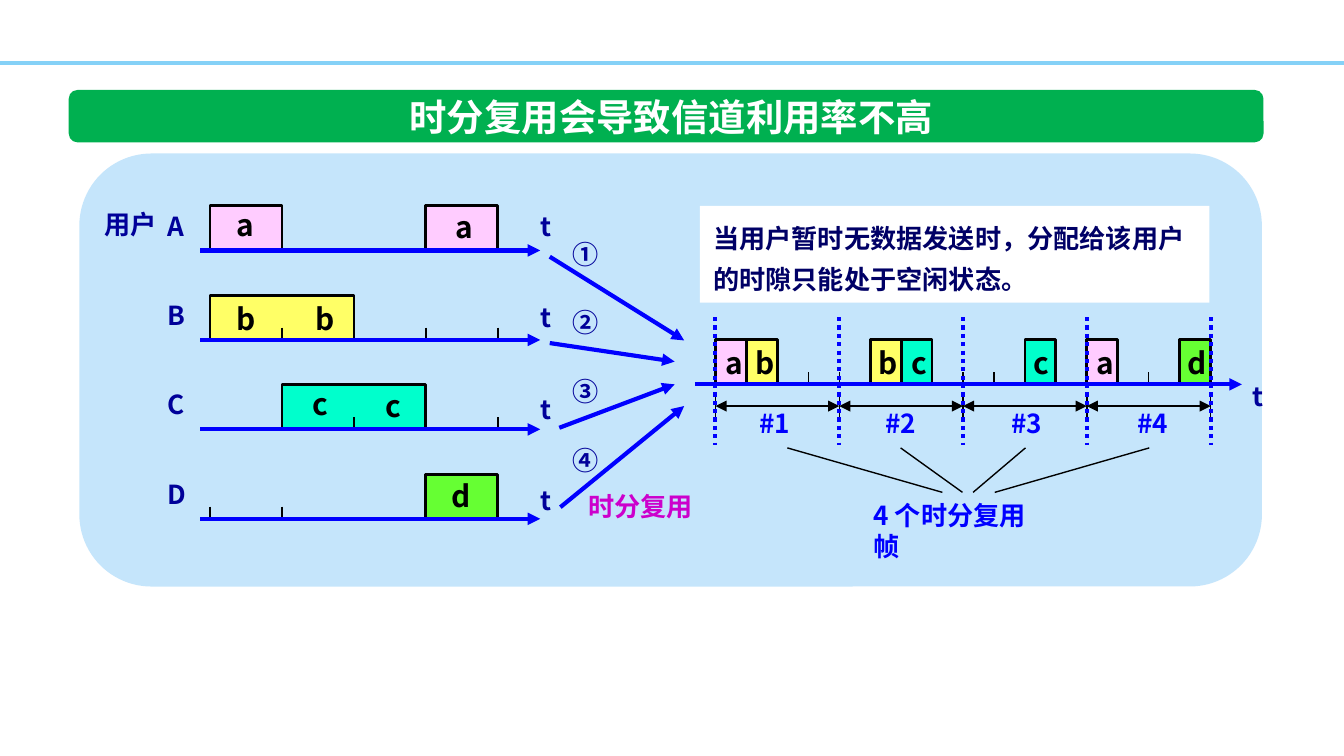
import pptx
import pptx.dml.color
import pptx.enum.dml
import pptx.enum.shapes
import pptx.enum.text
import pptx.oxml.ns
import pptx.util
from lxml import etree
from pptx.util import Cm

FONT = "Noto Sans CJK SC"
NAVY, BLUE, BLACK, WHITE = "000099", "0000FF", "000000", "FFFFFF"
USER_COLOURS = {"a": "FFCCFF", "b": "FFFF66", "c": "00FFCC", "d": "66FF33"}
LETTER_WIDTHS = {"a": 0.84, "b": 0.89, "c": 0.81, "d": 0.89}
USER_LEFT, USER_SLOT, USER_BASE, ROW_STEP = 3.97, 1.36, 4.73, 1.69
FRAME_LEFT, FRAME_WIDTH, CHANNEL_BASE = 13.52, 2.34, 7.26
CHANNEL_SLOT = FRAME_WIDTH / 4
BAR_HEIGHT, TICK_HEIGHT = 0.84, 0.23


def rgb(colour):
    """Turn a hex string into a colour."""
    return pptx.dml.color.RGBColor.from_string(colour)


def add_child(parent, tag, **attributes):
    """Append a DrawingML element."""
    etree.SubElement(parent, pptx.oxml.ns.qn(tag), **attributes)


def write(frame, text, size=14, colour=NAVY, wrap=False, align=None, spacing=None, anchor="TOP"):
    """Put formatted text into a text frame."""
    frame.word_wrap = wrap
    frame.vertical_anchor = getattr(pptx.enum.text.MSO_ANCHOR, anchor)
    paragraph = frame.paragraphs[0]
    paragraph.alignment = align or pptx.enum.text.PP_ALIGN.LEFT
    if spacing:
        paragraph.line_spacing = pptx.util.Pt(spacing)
    run = paragraph.add_run()
    run.text = text
    run.font.size = pptx.util.Pt(size)
    run.font.bold = True
    run.font.name = FONT
    run.font.color.rgb = rgb(colour)
    add_child(run._r.get_or_add_rPr(), "a:ea", typeface=FONT)


def add_label(slide, text, left, top, width, height=0.86, **style):
    """Add a free-standing label."""
    label = slide.shapes.add_textbox(Cm(left), Cm(top), Cm(width), Cm(height))
    write(label.text_frame, text, **style)


def add_panel(slide, left, top, width, height, colour, rounded=True):
    """Add a filled panel without outline."""
    kinds = pptx.enum.shapes.MSO_SHAPE
    kind = kinds.ROUNDED_RECTANGLE if rounded else kinds.RECTANGLE
    panel = slide.shapes.add_shape(kind, Cm(left), Cm(top), Cm(width), Cm(height))
    panel.shadow.inherit = False
    panel.fill.solid()
    panel.fill.fore_color.rgb = rgb(colour)
    panel.line.fill.background()
    return panel


def add_line(slide, x1, y1, x2, y2, colour=BLACK, width=0.75, dotted=False, ends=()):
    """Add a straight line with optional arrowheads."""
    kind = pptx.enum.shapes.MSO_CONNECTOR.STRAIGHT
    line = slide.shapes.add_connector(kind, Cm(x1), Cm(y1), Cm(x2), Cm(y2))
    line.line.color.rgb = rgb(colour)
    line.line.width = pptx.util.Pt(width)
    if dotted:
        line.line.dash_style = pptx.enum.dml.MSO_LINE.ROUND_DOT
    for end in ends:
        add_child(line.line._get_or_add_ln(), end, type="triangle")
    add_child(line._element.spPr, "a:effectLst")


def add_arrow(slide, x1, y1, x2, y2):
    """Add a thick blue arrow."""
    add_line(slide, x1, y1, x2, y2, colour=BLUE, width=2.25, ends=["a:tailEnd"])


def add_bar(slide, user, left, base, width):
    """Add a data bar that is open at its base."""
    right, top = left + width, base - BAR_HEIGHT
    outline = slide.shapes.build_freeform(Cm(left), Cm(base))
    corners = [(left, top), (right, top), (right, base)]
    outline.add_line_segments([(Cm(x), Cm(y)) for x, y in corners], close=False)
    bar = outline.convert_to_shape()
    bar.shadow.inherit = False
    bar.fill.solid()
    bar.fill.fore_color.rgb = rgb(USER_COLOURS[user])
    bar.line.color.rgb = rgb(BLACK)
    bar.line.width = pptx.util.Pt(1.5)


def add_ticks(slide, slots, left, step, base):
    """Mark slot borders above an axis."""
    for slot in slots:
        x = left + slot * step
        add_line(slide, x, base - TICK_HEIGHT, x, base)


def add_letters(slide, letters):
    """Add the letters on the data bars."""
    for letter, left, top in letters:
        add_label(slide, letter, left, top, LETTER_WIDTHS[letter], 0.94, size=16, colour=BLACK)


def add_heading(slide):
    """Add the top rule, the banner and the title."""
    add_line(slide, 0, 1.19, 25.4, 1.19, colour="85D1F7", width=2)
    add_panel(slide, 1.3, 1.7, 22.58, 0.99, "00B050")
    title = slide.shapes.title
    title.left, title.top, title.width, title.height = Cm(3.48), Cm(1.7), Cm(18.42), Cm(0.99)
    write(title.text_frame, "时分复用会导致信道利用率不高", size=20, colour=WHITE, wrap=True,
          align=pptx.enum.text.PP_ALIGN.CENTER, anchor="MIDDLE")
    slide.shapes.element.append(title.element)


def add_users(slide):
    """Draw the four users' signals over time."""
    rows = [
        ("A", "a", [(0, 1), (3, 1)], []),
        ("B", "b", [(0, 2)], [1, 3, 4]),
        ("C", "c", [(1, 2)], [2, 4]),
        ("D", "d", [(3, 1)], [0, 1, 3]),
    ]
    add_label(slide, "用户", 1.73, 3.81, 1.5)
    for row, (name, user, bars, ticks) in enumerate(rows):
        base = USER_BASE + row * ROW_STEP
        for slot, count in bars:
            add_bar(slide, user, USER_LEFT + slot * USER_SLOT, base, count * USER_SLOT)
        add_ticks(slide, ticks, USER_LEFT, USER_SLOT, base)
        add_arrow(slide, 3.78, base, 10.21, base)
        add_label(slide, name, 2.92, 3.84 + row * ROW_STEP, 0.89)
        add_label(slide, "t", 9.96, 3.84 + row * 1.73, 0.71)
    add_letters(slide, [("a", 4.22, 3.78), ("a", 8.36, 3.81), ("b", 4.22, 5.56), ("b", 5.72, 5.56),
                        ("c", 5.66, 7.16), ("c", 7.04, 7.19), ("d", 8.28, 8.89)])


def add_multiplexing(slide):
    """Draw the arrows that lead the users to the channel."""
    arrows = [(10.39, 4.85, 12.93, 6.43), (10.39, 6.48, 12.75, 6.83),
              (10.57, 8.08, 12.75, 7.26), (10.59, 9.58, 12.93, 7.67)]
    for index, (number, arrow) in enumerate(zip("①②③④", arrows)):
        add_arrow(slide, *arrow)
        add_label(slide, number, 10.57, 4.37 + index * 1.3, 1.02)
    add_label(slide, "时分复用", 10.87, 9.14, 2.51, colour="CC00CC")


def add_channel(slide):
    """Draw the shared channel with its four frames."""
    for user, slot in [("c", 6), ("c", 10), ("a", 12), ("d", 15), ("b", 5), ("b", 1), ("a", 0)]:
        add_bar(slide, user, FRAME_LEFT + slot * CHANNEL_SLOT, CHANNEL_BASE, CHANNEL_SLOT)
    add_ticks(slide, [2, 3, 4, 8, 9, 14], FRAME_LEFT, CHANNEL_SLOT, CHANNEL_BASE)
    add_arrow(slide, 13.13, CHANNEL_BASE, 23.47, CHANNEL_BASE)
    add_label(slide, "t", 23.42, 7.06, 0.71)
    pointers = [(14.88, 17.81), (17.02, 18.19), (19.38, 18.39), (21.72, 18.8)]
    for frame, (start, end) in enumerate(pointers):
        left = FRAME_LEFT + frame * FRAME_WIDTH
        add_line(slide, left, 7.67, left + FRAME_WIDTH, 7.67, width=1, ends=["a:headEnd", "a:tailEnd"])
        add_label(slide, f"#{frame + 1}", 14.1 + frame * 2.38, 7.57, 1.14, colour=BLUE)
        add_line(slide, start, 8.46, end, 9.3)
    for border in range(5):
        x = FRAME_LEFT + border * FRAME_WIDTH
        add_line(slide, x, 7.47, x, 7.9)
        add_line(slide, x, 5.99, x, 8.41, colour=BLUE, width=2.25, dotted=True)
    add_label(slide, "4 个时分复用帧", 16.26, 9.3, 3.85, colour=BLUE, wrap=True)
    letters = [("a", 13.46), ("b", 14.02), ("b", 16.36), ("c", 16.97),
               ("c", 19.28), ("a", 20.47), ("d", 22.2)]
    add_letters(slide, [(letter, left, 6.38) for letter, left in letters])


def main():
    """Build and save the slide."""
    deck = pptx.Presentation()
    deck.slide_width, deck.slide_height = Cm(25.4), Cm(14.28)
    slide = deck.slides.add_slide(deck.slide_layouts.get_by_name("Title Only"))
    add_heading(slide)
    add_panel(slide, 1.5, 2.9, 22.35, 8.18, "C5E5FB")
    add_users(slide)
    add_multiplexing(slide)
    add_channel(slide)
    remark = add_panel(slide, 13.23, 3.89, 9.63, 1.83, WHITE, rounded=False)
    write(remark.text_frame, "当用户暂时无数据发送时，分配给该用户的时隙只能处于空闲状态。",
          colour="000066", wrap=True, spacing=22)
    deck.save("out.pptx")


if __name__ == "__main__":
    main()
